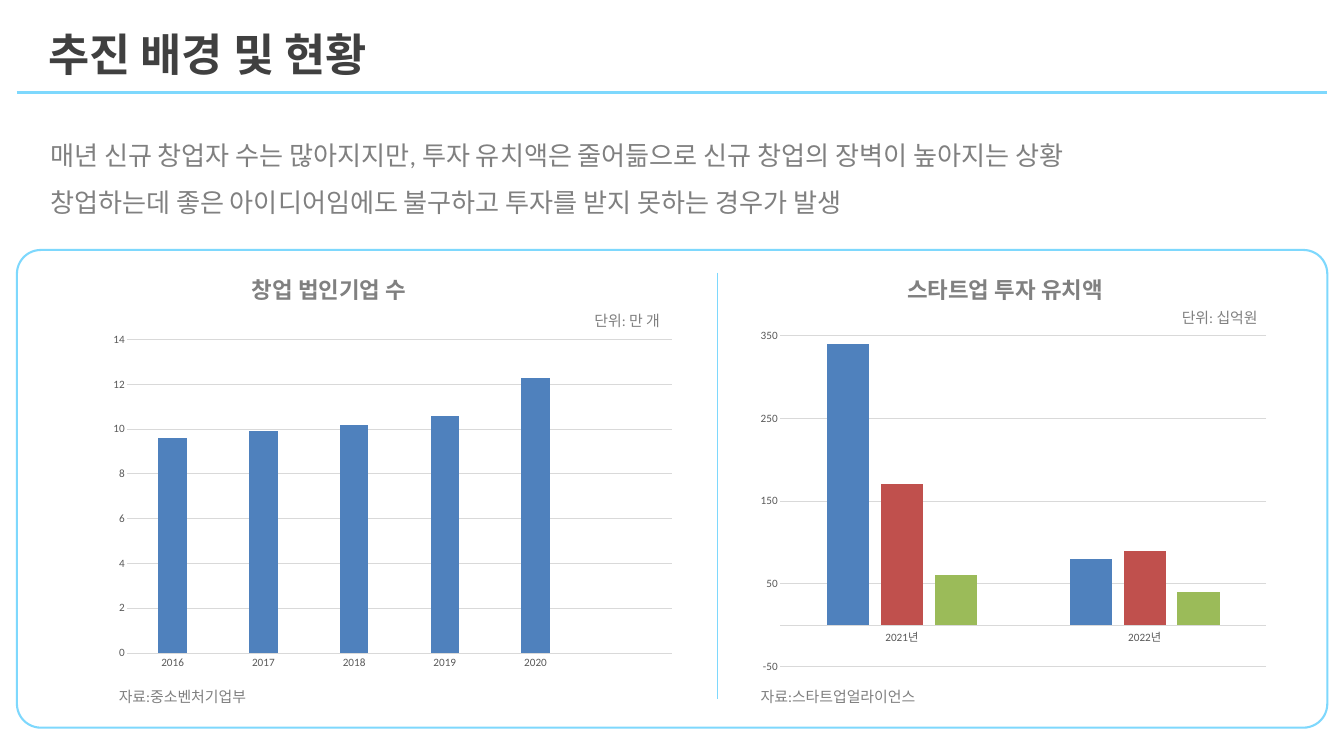
import pptx
import pptx.chart.data
import pptx.dml.color
import pptx.enum.chart
import pptx.enum.shapes
import pptx.enum.text
import pptx.oxml
import pptx.oxml.ns
import pptx.util
from pptx.util import Cm

FONT = "Calibri"
SKY, GRAY, DARK, GRID, TICK = "7ED8FD", "808080", "404040", "D9D9D9", "595959"
SERIES_COLORS = ["4F81BD", "C0504D", "9BBB59"]


def rgb(value):
    return pptx.dml.color.RGBColor.from_string(value)


def set_line(line, color, width):
    line.color.rgb = rgb(color)
    line.width = pptx.util.Pt(width)


def set_font(font, size, color, bold=False):
    font.name = FONT
    font.size = pptx.util.Pt(size)
    font.bold = bold
    font.color.rgb = rgb(color)


def add_line(s, x1, y1, x2, y2, width):
    line = s.shapes.add_connector(
        pptx.enum.shapes.MSO_CONNECTOR.STRAIGHT, Cm(x1), Cm(y1), Cm(x2), Cm(y2))
    set_line(line.line, SKY, width)
    pptx.oxml.ns.qn("a:effectLst")
    line._element.spPr.append(pptx.oxml.parse_xml(
        "<a:effectLst %s/>" % pptx.oxml.ns.nsdecls("a")))


def add_text(s, x, y, w, h, lines, size, color=GRAY, bold=False, spacing=None):
    tf = s.shapes.add_textbox(Cm(x), Cm(y), Cm(w), Cm(h)).text_frame
    tf.word_wrap = True
    tf.auto_size = pptx.enum.text.MSO_AUTO_SIZE.SHAPE_TO_FIT_TEXT
    for i, text in enumerate(lines):
        p = tf.paragraphs[0] if i == 0 else tf.add_paragraph()
        p.text = text
        p.line_spacing = spacing
        set_font(p.font, size, color, bold)


def add_frame(s, x, y, w, h):
    frame = s.shapes.add_shape(
        pptx.enum.shapes.MSO_SHAPE.ROUNDED_RECTANGLE, Cm(x), Cm(y), Cm(w), Cm(h))
    frame.adjustments[0] = 0.05
    frame.shadow.inherit = False
    frame.fill.background()
    set_line(frame.line, SKY, 2.25)


def set_plot_layout(chart, x, y, w, h):
    """Fix the inner plot area as fractions of the chart."""
    plot_area = chart._chartSpace.chart.plotArea
    for old in plot_area.findall(pptx.oxml.ns.qn("c:layout")):
        plot_area.remove(old)
    sizes = "".join('<c:%s val="%s"/>' % pair
                    for pair in zip("xywh", (x, y, w, h)))
    plot_area.insert(0, pptx.oxml.parse_xml(
        '<c:layout %s><c:manualLayout><c:layoutTarget val="inner"/>'
        '<c:xMode val="edge"/><c:yMode val="edge"/>%s</c:manualLayout></c:layout>'
        % (pptx.oxml.ns.nsdecls("c"), sizes)))


def add_columns(s, x, y, w, h, categories, series, layout, low, high, step):
    data = pptx.chart.data.CategoryChartData()
    data.categories = categories
    for i, values in enumerate(series, 1):
        data.add_series(f"Series {i}", values)
    chart = s.shapes.add_chart(
        pptx.enum.chart.XL_CHART_TYPE.COLUMN_CLUSTERED,
        Cm(x), Cm(y), Cm(w), Cm(h), data).chart
    chart.has_title = False
    chart.has_legend = False
    set_font(chart.font, 10, "000000")
    set_plot_layout(chart, *layout)

    # Columns
    plot = chart.plots[0]
    plot.gap_width, plot.overlap = 219, -27
    plot.vary_by_categories = False
    for column, color in zip(plot.series, SERIES_COLORS):
        column.format.fill.solid()
        column.format.fill.fore_color.rgb = rgb(color)
        column.invert_if_negative = False

    # Axes
    for axis in (chart.category_axis, chart.value_axis):
        axis.major_tick_mark = pptx.enum.chart.XL_TICK_MARK.NONE
        axis.minor_tick_mark = pptx.enum.chart.XL_TICK_MARK.NONE
        set_font(axis.tick_labels.font, 12, TICK)
    set_line(chart.category_axis.format.line, GRID, 0.75)
    axis = chart.value_axis
    axis.format.line.fill.background()
    axis.minimum_scale, axis.maximum_scale, axis.major_unit = low, high, step
    axis.has_major_gridlines = True
    set_line(axis.major_gridlines.format.line, GRID, 0.75)


def main():
    prs = pptx.Presentation()
    prs.slide_width, prs.slide_height = Cm(50.8), Cm(28.58)
    s = prs.slides.add_slide(prs.slide_layouts[6])

    # Title and summary
    add_line(s, 0.64, 3.5, 50.16, 3.5, 3)
    add_text(s, 1.57, 0.89, 17.4, 2.31, ["추진 배경 및 현황"], 48, DARK, True)
    add_text(s, 1.65, 4.55, 47.68, 3.66, [
        "매년 신규 창업자 수는 많아지지만, 투자 유치액은 줄어듦으로 신규 창업의 장벽이 높아지는 상황",
        "창업하는데 좋은 아이디어임에도 불구하고 투자를 받지 못하는 경우가 발생",
    ], 28, spacing=1.5)

    # Panel
    add_frame(s, 0.64, 9.45, 49.53, 18.06)
    add_line(s, 27.1, 10.31, 27.1, 26.44, 0.25)

    # Charts
    add_columns(s, 3.73, 11.68, 21.67, 14.45,
                ["2016", "2017", "2018", "2019", "2020", ""],
                [[9.6, 9.9, 10.2, 10.6, 12.3, None]],
                (0.05, 0.08, 0.95, 0.82), 0, 14, 2)
    add_columns(s, 28.5, 12.42, 19.96, 13.31, ["2021년", "2022년"],
                [[340, 80], [170, 90], [60, 40]],
                (0.05, 0.02, 0.92, 0.94), -50, 350, 100)

    # Chart headings
    for x, w, text in [(9.27, 7.01, "창업 법인기업 수"),
                       (34.04, 8.76, "스타트업 투자 유치액")]:
        add_text(s, x, 10.31, w, 1.27, [text], 24, bold=True)

    # Units and sources
    for x, y, text in [(22.22, 11.66, "단위: 만 개"),
                       (44.42, 11.56, "단위: 십억원"),
                       (4.24, 25.86, "자료:중소벤처기업부"),
                       (28.5, 25.86, "자료:스타트업얼라이언스")]:
        add_text(s, x, y, 8.05, 0.94, [text], 16)

    prs.save("out.pptx")


if __name__ == "__main__":
    main()
